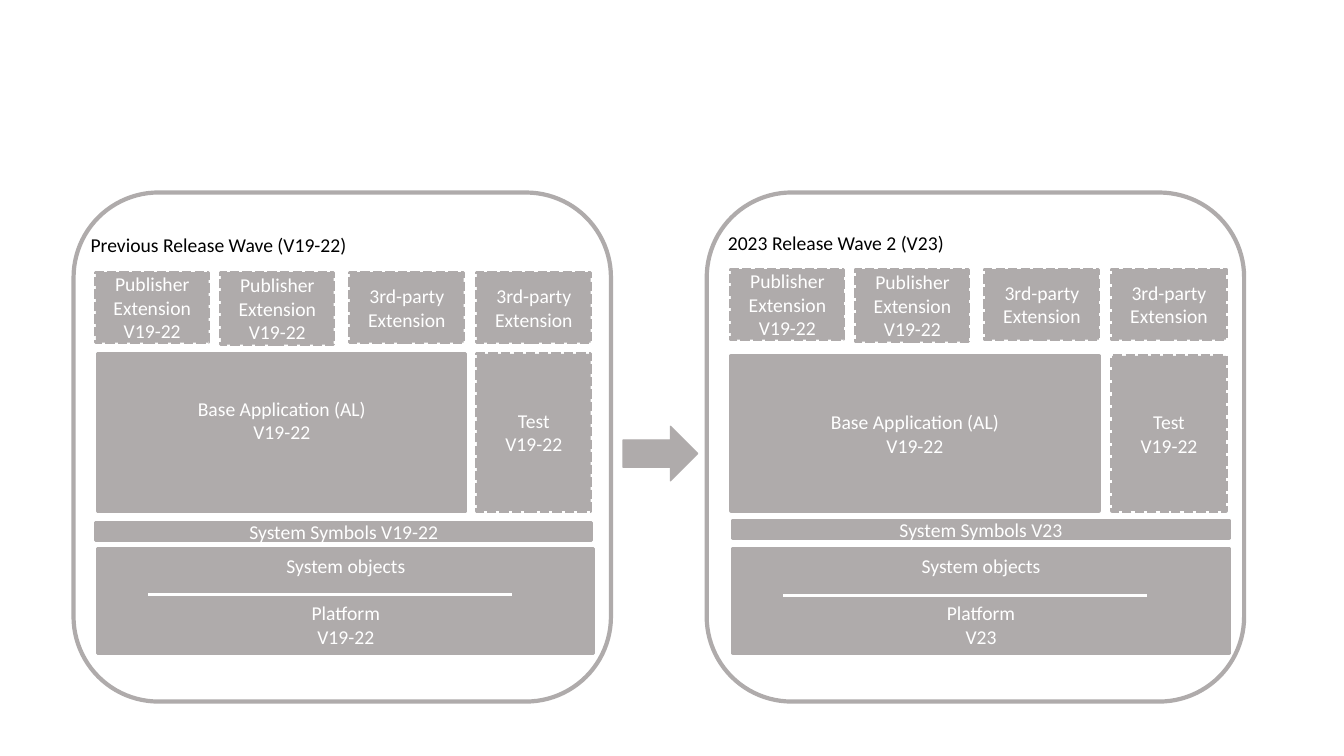
from dataclasses import dataclass
from lxml.etree import SubElement
from pptx import Presentation
from pptx.dml.color import RGBColor
from pptx.enum.dml import MSO_LINE
from pptx.enum.shapes import MSO_CONNECTOR, MSO_SHAPE
from pptx.enum.text import MSO_ANCHOR, MSO_AUTO_SIZE, PP_ALIGN
from pptx.oxml.ns import qn
from pptx.util import Inches, Pt


@dataclass(frozen=True)
class Theme:
    grey: RGBColor = RGBColor(0xAF, 0xAB, 0xAB)
    white: RGBColor = RGBColor(0xFF, 0xFF, 0xFF)
    black: RGBColor = RGBColor(0, 0, 0)
    font: str = "Calibri"
    size: Pt = Pt(14)
    frame_line: Pt = Pt(3)
    block_line: Pt = Pt(2.25)
    divider_line: Pt = Pt(1.75)
    arrow_line: Pt = Pt(1)


THEME = Theme()

EXTENSIONS = [
    ("Publisher Extension\nV19-22", 0, 1.12, 0.7),
    ("Publisher Extension\nV19-22", 1.24, 1.12, 0.72),
    ("3rd-party Extension", 2.52, 1.13, 0.7),
    ("3rd-party Extension", 3.78, 1.13, 0.7),
]
BASE_TEXT = "Base Application (AL)\vV19-22"
TEST_TEXT = "Test\nV19-22"
TEST_OFFSET, TEST_WIDTH = 3.78, 1.13
LAYER_WIDTH = 4.92
APP_BOTTOM = 5.07

RELEASES = [
    dict(heading="Previous Release Wave (V19-22)", heading_box=(0.8, 2.26, 2.86, 0.34),
         version="V19-22", frame_left=0.73, left=0.95, extension_top=2.7,
         base_left=0.97, app_top=3.51, base_inset=0.29,
         symbols_left=0.95, symbols_top=5.18, platform_left=0.97, divider_top=5.9),
    dict(heading="2023 Release Wave 2 (V23)", heading_box=(7.12, 2.24, 2.41, 0.34),
         version="V23", frame_left=7.01, left=7.25, extension_top=2.67,
         base_left=7.25, app_top=3.53, base_inset=0.05,
         symbols_left=7.27, symbols_top=5.16, platform_left=7.27, divider_top=5.91),
]

presentation = Presentation()
presentation.slide_width, presentation.slide_height = Inches(13.33), Inches(7.5)
slide = presentation.slides.add_slide(presentation.slide_layouts[6])


def write(frame, text, color, align):
    frame.text = text
    for paragraph in frame.paragraphs:
        paragraph.alignment = align
        for run in paragraph.runs:
            run.font.name = THEME.font
            run.font.size = THEME.size
            run.font.color.rgb = color


def add_outline(kind, box, line_width, filled=True):
    shape = slide.shapes.add_shape(kind, *map(Inches, box))
    shape.shadow.inherit = False
    if filled:
        shape.fill.solid()
        shape.fill.fore_color.rgb = THEME.grey
    else:
        shape.fill.background()
    shape.line.color.rgb = THEME.grey
    shape.line.width = line_width
    return shape


def add_block(text, box, dashed=False):
    block = add_outline(MSO_SHAPE.RECTANGLE, box, THEME.block_line)
    if dashed:
        block.line.dash_style = MSO_LINE.SQUARE_DOT
    frame = block.text_frame
    frame.word_wrap = True
    frame.vertical_anchor = MSO_ANCHOR.MIDDLE
    write(frame, text, THEME.white, PP_ALIGN.CENTER)
    return frame


def add_heading(text, box):
    frame = slide.shapes.add_textbox(*map(Inches, box)).text_frame
    frame.word_wrap = False
    frame.auto_size = MSO_AUTO_SIZE.SHAPE_TO_FIT_TEXT
    write(frame, text, THEME.black, PP_ALIGN.LEFT)


def add_divider(left, top, width):
    divider = slide.shapes.add_connector(
        MSO_CONNECTOR.STRAIGHT, *map(Inches, (left, top, left + width, top)))
    divider.line.color.rgb = THEME.white
    divider.line.width = THEME.divider_line
    SubElement(divider._element.spPr, qn("a:effectLst"))


def add_release(release):
    left, app_top = release["left"], release["app_top"]
    app_height = APP_BOTTOM - app_top
    add_outline(MSO_SHAPE.ROUNDED_RECTANGLE, (release["frame_left"], 1.91, 5.33, 5.05),
                THEME.frame_line, filled=False)
    add_heading(release["heading"], release["heading_box"])
    for text, offset, width, height in EXTENSIONS:
        add_block(text, (left + offset, release["extension_top"], width, height), dashed=True)

    base = add_block(BASE_TEXT, (release["base_left"], app_top, 3.65, app_height))
    base.margin_bottom = Inches(release["base_inset"])
    add_block(TEST_TEXT, (left + TEST_OFFSET, app_top, TEST_WIDTH, app_height), dashed=True)
    add_block(f"System Symbols {release['version']}",
              (release["symbols_left"], release["symbols_top"], LAYER_WIDTH, 0.18))

    platform_left = release["platform_left"]
    platform = add_block(f"System objects\nPlatform\n{release['version']}",
                         (platform_left, 5.44, LAYER_WIDTH, 1.04))
    platform.paragraphs[1].space_before = Pt(17)
    add_divider(platform_left + 0.5, release["divider_top"], 3.61)


for release in RELEASES:
    add_release(release)
add_outline(MSO_SHAPE.RIGHT_ARROW, (6.18, 4.23, 0.74, 0.54), THEME.arrow_line)

presentation.save("out.pptx")
